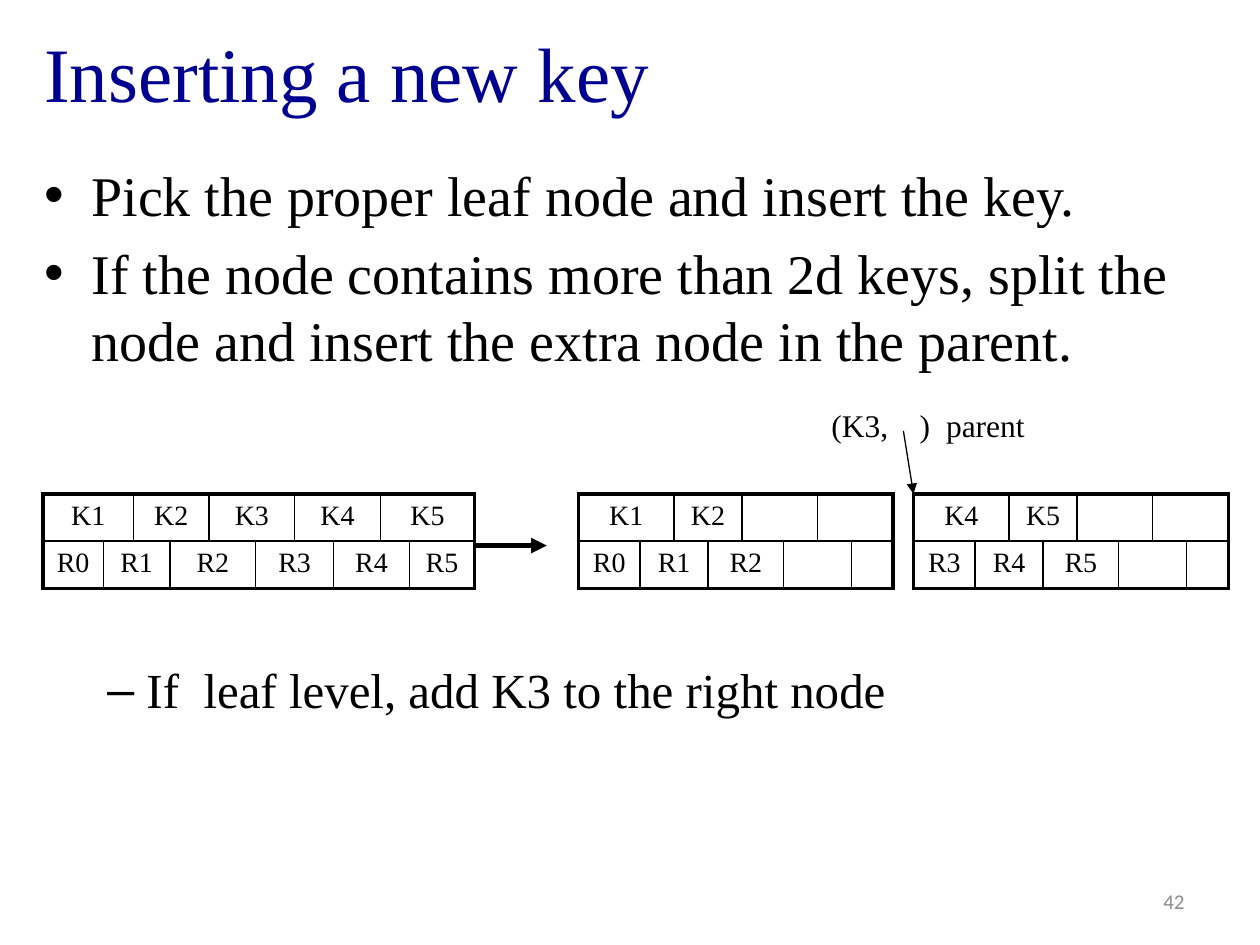
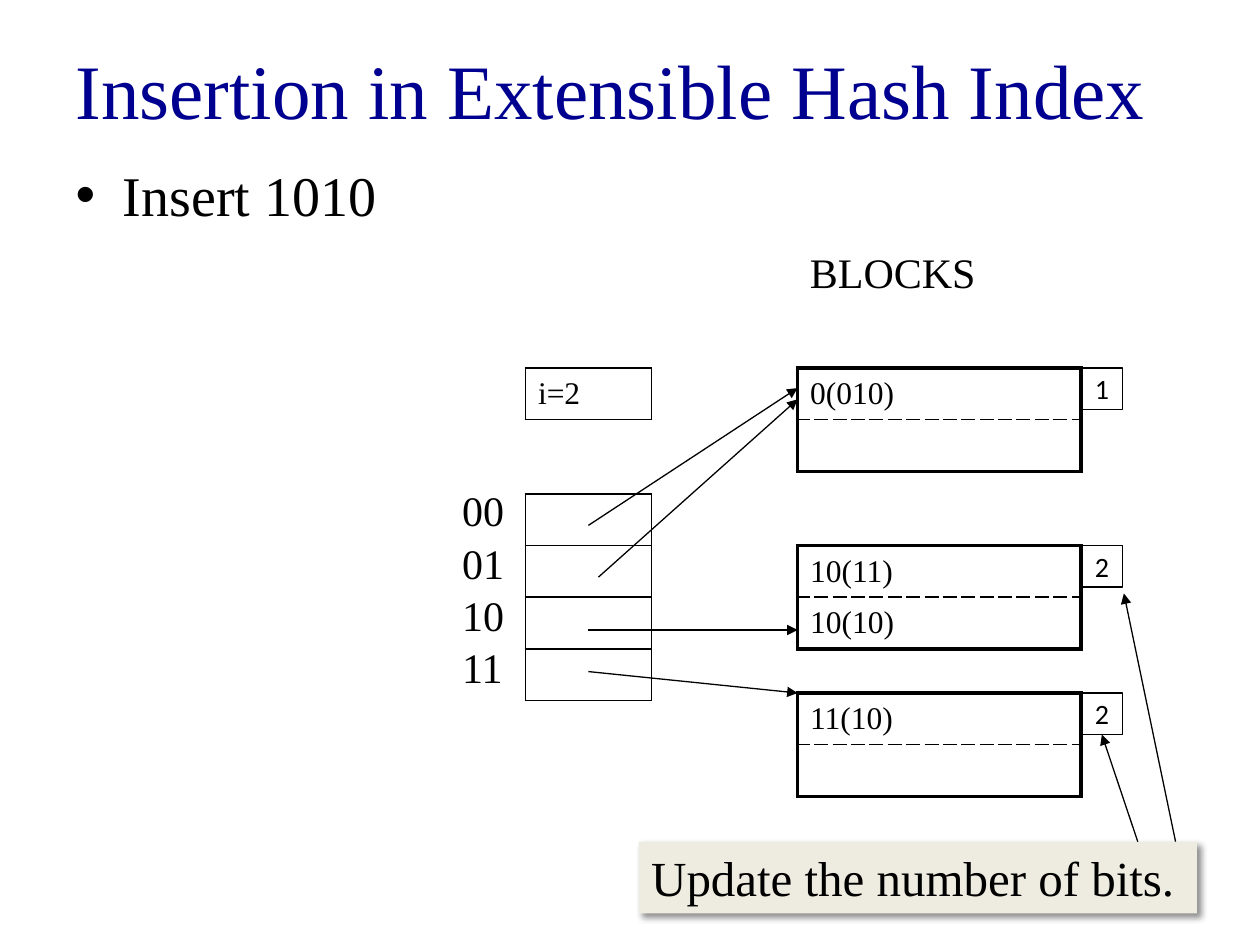
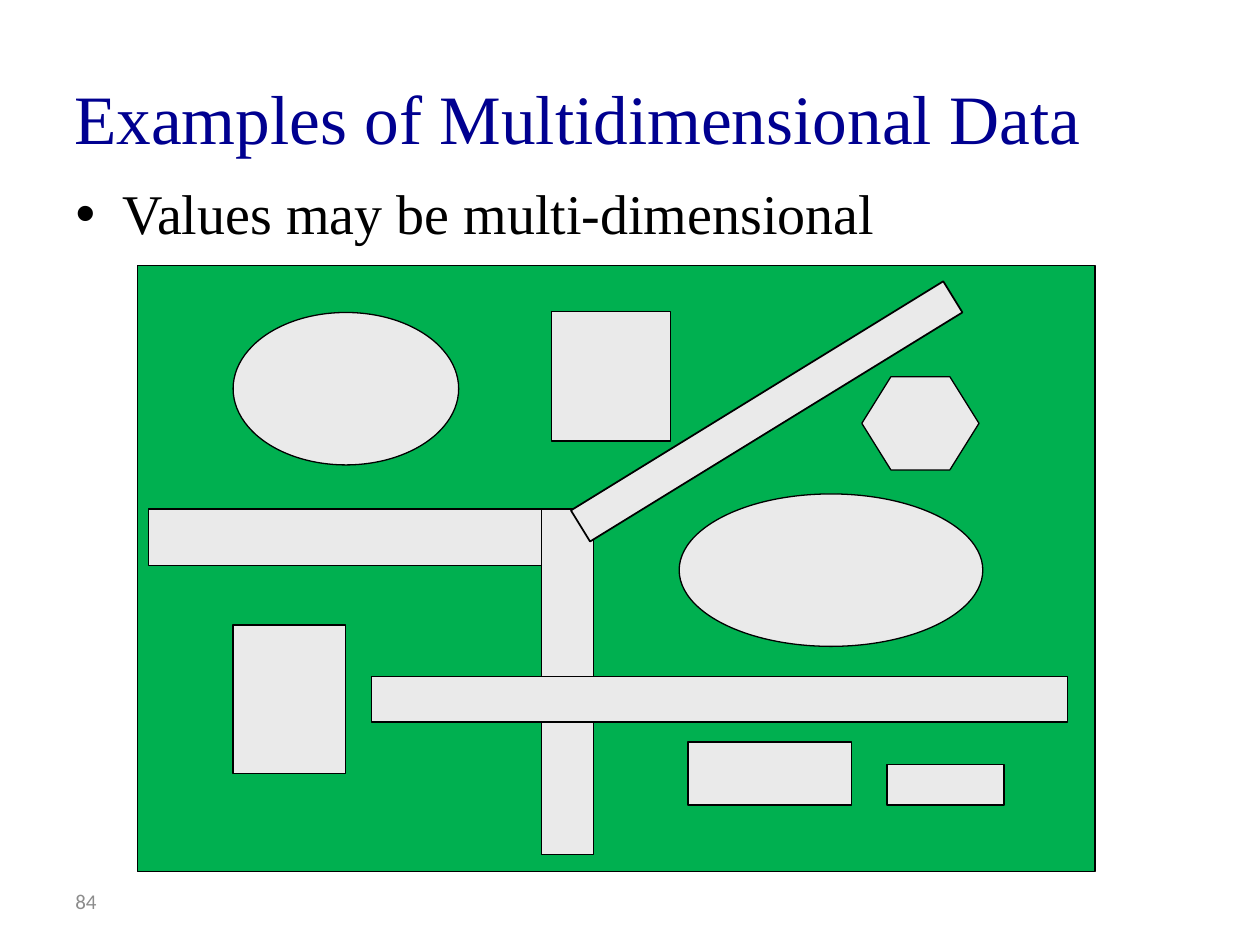
from lxml import etree
from pptx import Presentation
from pptx.dml.color import RGBColor
from pptx.enum import shapes, text
from pptx.oxml.ns import qn
from pptx.util import Inches, Pt

COLORS = {
    "ink": "000000",
    "title": "000090",
    "number": "8C8C8C",
    "note": "EEECE1",
    "field": "00B050",
    "object": "EAEAEA",
}
SERIF = "Times New Roman"
SANS = "Calibri"
PLAIN_TABLE = "{2D5ABB26-0587-4C30-8999-92F81FD0307C}"
ROW_H = 0.41
SHAPE = shapes.MSO_SHAPE
ANCHOR = text.MSO_ANCHOR
ALIGN = text.PP_ALIGN


def rgb(name):
    return RGBColor.from_string(COLORS[name])


def lengths(box):
    return [Inches(v) for v in box]


def write(p, content, size=18, font=SERIF, color="ink", align=ALIGN.LEFT,
          level=0, before=None, tabs=()):
    p.level = level
    p.alignment = align
    if before is not None:
        p.space_before = Pt(before)
    if tabs:
        tab_list = etree.SubElement(p._p.get_or_add_pPr(), qn("a:tabLst"))
        for stop in tabs:
            etree.SubElement(tab_list, qn("a:tab"), pos=str(Inches(stop)), algn="l")
    r = p.add_run()
    r.text = content
    r.font.size = Pt(size)
    r.font.name = font
    r.font.color.rgb = rgb(color)


def label(s, box, content, anchor=ANCHOR.TOP, **fmt):
    tf = s.shapes.add_textbox(*lengths(box)).text_frame
    tf.word_wrap = True
    tf.vertical_anchor = anchor
    write(tf.paragraphs[0], content, **fmt)


def place(sp, box):
    sp.left, sp.top, sp.width, sp.height = lengths(box)


def new_slide(prs, title, title_box, body_box, items, title_size=44):
    s = prs.slides.add_slide(prs.slide_layouts[1])
    place(s.shapes.title, title_box)
    write(s.shapes.title.text_frame.paragraphs[0], title, size=title_size, color="title")
    body = s.placeholders[1]
    place(body, body_box)
    tf = body.text_frame
    tf.auto_size = text.MSO_AUTO_SIZE.NONE
    for i, (content, fmt) in enumerate(items):
        p = tf.add_paragraph() if i else tf.paragraphs[0]
        write(p, content, **{"size": 32, "before": None if i else 0, **fmt})
    return s


def page_number(s, left, number, align):
    label(s, (left, 6.95, 2.33, 0.4), number, anchor=ANCHOR.MIDDLE,
          size=12, font=SANS, color="number", align=align)


def add_shape(s, kind, box, fill=None, line=0.75):
    sp = s.shapes.add_shape(kind, *lengths(box))
    sp.shadow.inherit = False
    if fill:
        sp.fill.solid()
        sp.fill.fore_color.rgb = rgb(fill)
    else:
        sp.fill.background()
    if line:
        sp.line.color.rgb = rgb("ink")
        sp.line.width = Pt(line)
    else:
        sp.line.fill.background()
    return sp


def arrow(s, start, end, width=0.75):
    cn = s.shapes.add_connector(shapes.MSO_CONNECTOR.STRAIGHT, *lengths(start + end))
    cn.line.color.rgb = rgb("ink")
    cn.line.width = Pt(width)
    etree.SubElement(cn.line._get_or_add_ln(), qn("a:tailEnd"), type="triangle")
    etree.SubElement(cn._element.spPr, qn("a:effectLst"))
    return cn


def border(cell, side, width, dash):
    ln = etree.SubElement(cell._tc.get_or_add_tcPr(), qn("a:ln" + side), w=str(Pt(width)))
    fill = etree.SubElement(ln, qn("a:solidFill"))
    etree.SubElement(fill, qn("a:srgbClr"), val=COLORS["ink"])
    etree.SubElement(ln, qn("a:prstDash"), val=dash)


def add_grid(s, left, top, widths, row_h, rows, outer=1.0, dash="solid",
             anchor=ANCHOR.MIDDLE, bottom=0.05, **fmt):
    n_rows, n_cols = len(rows), len(widths)
    frame = s.shapes.add_table(n_rows, n_cols, *lengths(
        (left, top, sum(widths), row_h * n_rows)))
    table = frame.table
    table.first_row = table.horz_banding = False
    table._tbl.tblPr.find(qn("a:tableStyleId")).text = PLAIN_TABLE
    for col, width in zip(table.columns, widths):
        col.width = Inches(width)
    for i, row in enumerate(rows):
        table.rows[i].height = Inches(row_h)
        first = 0
        for content, span in row:
            last = first + span - 1
            at_edge = {"L": first == 0, "R": last == n_cols - 1,
                       "T": i == 0, "B": i == n_rows - 1}
            for j in range(first, last + 1):
                cell = table.cell(i, j)
                for side, edge in at_edge.items():
                    if side != "L" or j == first:
                        border(cell, side, outer if edge else 1, "solid" if edge else dash)
                cell.fill.background()
                cell.margin_bottom = Inches(bottom)
                cell.vertical_anchor = anchor
            origin = table.cell(i, first)
            if span > 1:
                origin.merge(table.cell(i, last))
            if content:
                write(origin.text_frame.paragraphs[0], content, **fmt)
            first = last + 1


def tree_node(s, left, top, widths, keys, pointers):
    n = len(keys)
    rows = [list(zip(keys, [2] * n)),
            list(zip(pointers, [1] + [2] * (n - 1) + [1]))]
    add_grid(s, left, top, widths, 0.375, rows, outer=2.25, anchor=ANCHOR.TOP,
             bottom=0, size=16, align=ALIGN.CENTER)


def node_split(s, left, top):
    full = [0.48, 0.23, 0.29, 0.31, 0.37, 0.31, 0.31, 0.37, 0.23, 0.52]
    half = [0.49, 0.27, 0.27, 0.27, 0.33, 0.27, 0.27, 0.33]
    tree_node(s, left, top, full, ["K1", "K2", "K3", "K4", "K5"],
              ["R0", "R1", "R2", "R3", "R4", "R5"])
    tree_node(s, left + 4.25, top, half, ["K1", "K2", "", ""], ["R0", "R1", "R2", "", ""])
    tree_node(s, left + 6.91, top, half, ["K4", "K5", "", ""], ["R3", "R4", "R5", "", ""])
    label(s, (left + 6.16, top - 0.75, 1.75, 0.4), "(K3,\t)\tparent", tabs=(0.7, 0.91))
    arrow(s, (left + 6.83, top - 0.5), (left + 6.91, top))
    arrow(s, (left + 3.41, top + 0.41), (left + 4, top + 0.41), width=3)


def hash_block(s, left, top, entries, bits):
    add_grid(s, left, top, [2.25], ROW_H, [[(e, 1)] for e in entries],
             outer=2.25, dash="lgDash")
    tag = add_shape(s, SHAPE.RECTANGLE, (left + 2.25, top, 0.33, 0.33))
    tf = tag.text_frame
    tf.margin_left = tf.margin_right = 0
    tf.vertical_anchor = ANCHOR.MIDDLE
    write(tf.paragraphs[0], bits, size=16, font=SANS, align=ALIGN.CENTER)
    return tag


def directory(s, left, top, block_left):
    add_grid(s, left, top, [1], ROW_H, [[("", 1)]] * 4)
    add_grid(s, left, top - 1, [1], ROW_H, [[("i=2", 1)]])
    for i, prefix in enumerate(["00", "01", "10", "11"]):
        label(s, (left - 0.6, top - 0.12 + i * 0.415, 0.6, 0.5), prefix, size=24)
    for dx, dy, end in [(0.5, 0.25, 3.08), (0.58, 0.66, 3.17),
                        (0.5, 1.08, 5), (0.5, 1.41, 5.5)]:
        arrow(s, (left + dx, top + dy), (block_left, end))


def bits_note(s, left, top, tag):
    note = add_shape(s, SHAPE.RECTANGLE, (left, top, 4.43, 0.57), fill="note", line=None)
    effects = note._element.spPr.find(qn("a:effectLst"))
    shadow = etree.SubElement(effects, qn("a:outerShdw"), blurRad=str(Pt(4)),
                              dist=str(Pt(3)), dir="2700000", algn="tl", rotWithShape="0")
    color = etree.SubElement(shadow, qn("a:srgbClr"), val=COLORS["ink"])
    etree.SubElement(color, qn("a:alpha"), val="43000")
    note.text_frame.vertical_anchor = ANCHOR.TOP
    write(note.text_frame.paragraphs[0], "Update the number of bits.", size=28)
    arrow(s, (left + 3.96, top), (left + 3.7, top - 0.85)).end_connect(tag, 2)
    arrow(s, (left + 4.26, top), (left + 3.85, top - 1.97))


def spatial_map(s, left, top):
    add_shape(s, SHAPE.RECTANGLE, (left, top, 7.6, 4.81), fill="field")
    rect, oval = SHAPE.RECTANGLE, SHAPE.OVAL
    for kind, dx, dy, w, h in [
        (rect, 3.29, 0.36, 0.94, 1.03),
        (rect, 0.09, 1.93, 3.52, 0.45),
        (rect, 3.21, 1.93, 0.41, 2.74),
        (oval, 4.3, 1.81, 2.41, 1.21),
        (rect, 1.86, 3.26, 5.52, 0.36),
        (rect, 0.76, 2.85, 0.89, 1.18),
        (rect, 4.37, 3.78, 1.3, 0.5),
        (rect, 5.95, 3.96, 0.93, 0.32),
        (oval, 0.76, 0.37, 1.79, 1.21),
    ]:
        add_shape(s, kind, (left + dx, top + dy, w, h), fill="object")
    hexagon = add_shape(s, SHAPE.HEXAGON, (left + 5.75, top + 0.88, 0.93, 0.74), fill="object")
    hexagon.adjustments[0] = 0.312
    road = add_shape(s, rect, (left + 3.26, top + 1.01, 3.47, 0.29), fill="object", line=1)
    road.rotation = 328.4


def insert_key_slide(prs):
    s = new_slide(prs, "Inserting a new key", (0.25, 0.05, 9.55, 1.04),
                  (0.25, 1.22, 9.55, 6.13), [
        ("Pick the proper leaf node and insert the key.", {}),
        ("If the node contains more than 2d keys, split the node and insert "
         "the extra node in the parent.", {}),
        ("If  leaf level, add K3 to the right node", {"size": 28, "level": 1, "before": 164}),
    ])
    page_number(s, 7.17, "42", ALIGN.RIGHT)
    node_split(s, 0.34, 3.92)


def hash_slide(prs):
    s = new_slide(prs, "Insertion in Extensible Hash Index", (0.5, 0.18, 9, 1.05),
                  (0.5, 1.22, 9, 5.47), [("Insert 1010", {})])
    block_left = 6.33
    label(s, (block_left, 1.91, 1.6, 0.5), "BLOCKS", size=24)
    for top, entries, bits in [(2.92, ["0(010)", ""], "1"),
                               (4.33, ["10(11)", "10(10)"], "2"),
                               (5.5, ["11(10)", ""], "2")]:
        tag = hash_block(s, block_left, top, entries, bits)
    directory(s, 4.17, 3.92, block_left)
    bits_note(s, 5.07, 6.68, tag)


def multidimensional_slide(prs):
    s = new_slide(prs, "Examples of Multidimensional Data", (0.49, 0.3, 9, 1.25),
                  (0.5, 1.37, 9, 5.33), [("Values may be multi-dimensional", {})],
                  title_size=39.6)
    page_number(s, 0.5, "84", ALIGN.LEFT)
    spatial_map(s, 1.09, 2.11)


def main():
    prs = Presentation()
    prs.slide_width, prs.slide_height = Inches(10), Inches(7.5)
    insert_key_slide(prs)
    hash_slide(prs)
    multidimensional_slide(prs)
    prs.save("out.pptx")


if __name__ == "__main__":
    main()
